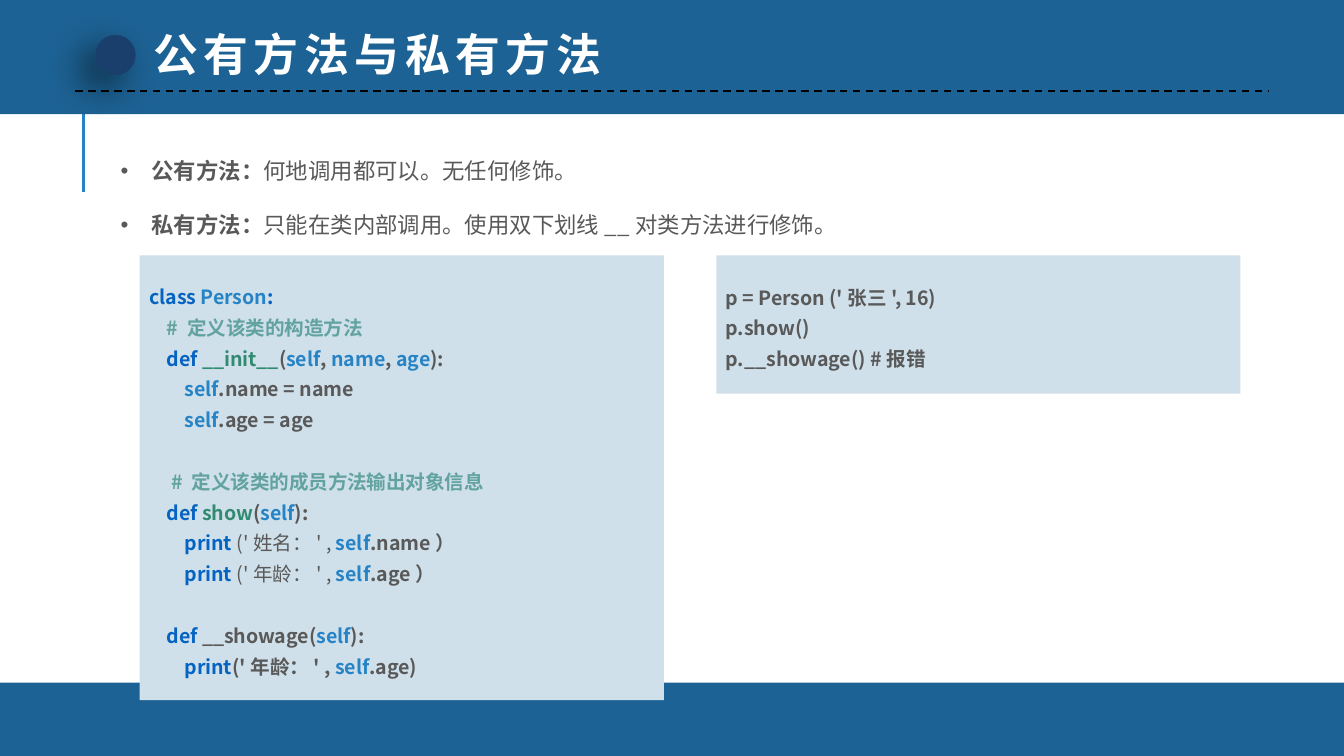
from lxml import etree
from pptx import Presentation
from pptx.dml.color import RGBColor
from pptx.enum.dml import MSO_LINE
from pptx.enum.shapes import MSO_CONNECTOR, MSO_SHAPE
from pptx.enum.text import MSO_ANCHOR, PP_ALIGN
from pptx.oxml.ns import qn
from pptx.util import Inches, Pt

# Widescreen, 16 to 9
WIDTH = 10
HEIGHT = WIDTH * 9 / 16
FONT = "Noto Sans CJK SC"
BAND, ACCENT, PANEL, GREY = "1D6294", "2683C6", "CFE0EA", "595959"
KEYWORD, COMMENT, METHOD = "0563C1", "62A39F", "328B71"

# Code panels share a top edge and a width
PANEL_TOP, PANEL_WIDTH = 1.9, 3.9
LEFT_COLUMN, RIGHT_COLUMN = 1.04, 5.33

TOKEN_COLORS = {
    **dict.fromkeys(["class", "def", "print", ":"], KEYWORD),
    **dict.fromkeys(["Person", "self", "name", "age"], ACCENT),
    **dict.fromkeys(["__init__", "show"], METHOD),
}

POINTS = [
    ("公有方法：", "何地调用都可以。无任何修饰。"),
    ("私有方法：", "只能在类内部调用。使用双下划线__对类方法进行修饰。"),
]

# A bar separates the coloured tokens of a line
CLASS_CODE = """class |Person|:
    |# 定义该类的构造方法
    |def |__init__|(|self|, |name|, |age|):
        |self|.name = name
        |self|.age = age

     |# 定义该类的成员方法输出对象信息
    |def |show|(|self|):
        |print| ('姓名：' , |self|.name）
        |print| ('年龄：' , |self|.age）

    |def| __showage(|self|):
        |print|('年龄：' , |self|.age)"""

CALL_CODE = """p = Person ('张三', 16)
p.show()
p.__showage() #报错"""


def rgb(value):
    return RGBColor.from_string(value)


def style_font(run, size, color, bold=True):
    run.font.size = Pt(size)
    run.font.bold = bold
    run.font.name = FONT
    run.font.color.rgb = rgb(color)
    etree.SubElement(run.font._element, qn("a:ea"), typeface=FONT)


def add_run(paragraph, text, size, color, bold):
    run = paragraph.add_run()
    run.text = text
    style_font(run, size, color, bold)


def add_block(slide, kind, left, top, width, height, color):
    block = slide.shapes.add_shape(
        kind, Inches(left), Inches(top), Inches(width), Inches(height))
    block.shadow.inherit = False
    block.fill.solid()
    block.fill.fore_color.rgb = rgb(color)
    block.line.fill.background()
    return block


def add_rule(slide, start, end, color, weight, dash=None):
    rule = slide.shapes.add_connector(
        MSO_CONNECTOR.STRAIGHT, *(Inches(v) for v in (*start, *end)))
    rule.line.color.rgb = rgb(color)
    rule.line.width = Pt(weight)
    if dash:
        rule.line.dash_style = dash
    etree.SubElement(rule._element.spPr, qn("a:effectLst"))


def add_soft_shadow(block):
    effects = block._element.spPr.find(qn("a:effectLst"))
    shadow = etree.SubElement(
        effects, qn("a:outerShdw"), blurRad=str(Pt(20)), dist=str(Pt(10)),
        dir=str(135 * 60000), algn="tr", rotWithShape="0")
    color = etree.SubElement(shadow, qn("a:srgbClr"), val="000000")
    etree.SubElement(color, qn("a:alpha"), val="60000")


def set_title(slide, text):
    title = slide.shapes.title
    title.left, title.top = Inches(1.04), Inches(0.15)
    title.width, title.height = Inches(3.75), Inches(0.5)
    frame = title.text_frame
    frame.text = text
    frame.word_wrap = False
    frame.vertical_anchor = MSO_ANCHOR.MIDDLE
    paragraph = frame.paragraphs[0]
    paragraph.alignment = PP_ALIGN.LEFT
    for run in paragraph.runs:
        style_font(run, 24, "FFFFFF")
        run.font._element.set("spc", "300")
    # Lift the title above the header band
    slide.shapes._spTree.append(title._element)


def add_points(slide, points):
    box = slide.shapes.add_textbox(
        Inches(0.8), Inches(0.92), Inches(8.33), Inches(0.85))
    frame = box.text_frame
    frame.word_wrap = True
    for index, (term, meaning) in enumerate(points):
        paragraph = frame.add_paragraph() if index else frame.paragraphs[0]
        paragraph.alignment = PP_ALIGN.JUSTIFY
        paragraph.line_spacing = 2.0
        properties = paragraph._p.get_or_add_pPr()
        properties.set("marL", str(Inches(0.23)))
        properties.set("indent", str(-Inches(0.23)))
        etree.SubElement(properties, qn("a:buFont"), typeface="Arial")
        etree.SubElement(properties, qn("a:buChar"), char="•")
        add_run(paragraph, term, 12, GREY, True)
        add_run(paragraph, meaning, 12, GREY, False)


def add_code(slide, left, height, code):
    panel = add_block(slide, MSO_SHAPE.RECTANGLE, left, PANEL_TOP,
                      PANEL_WIDTH, height, PANEL)
    frame = panel.text_frame
    frame.word_wrap = True
    frame.vertical_anchor = MSO_ANCHOR.MIDDLE
    frame.margin_left = frame.margin_right = Inches(0.07)
    frame.margin_top = frame.margin_bottom = Inches(0.04)
    for index, line in enumerate(code.split("\n")):
        paragraph = frame.add_paragraph() if index else frame.paragraphs[0]
        paragraph.alignment = PP_ALIGN.LEFT
        paragraph.line_spacing = Pt(16.5)
        for token in line.split("|") if line else []:
            color = TOKEN_COLORS.get(token.strip(), GREY)
            if token.startswith("#"):
                color = COMMENT
            add_run(paragraph, token, 10.5, color, not token.startswith(" ('"))


def main():
    deck = Presentation()
    deck.slide_width, deck.slide_height = Inches(WIDTH), Inches(HEIGHT)
    slide = deck.slides.add_slide(deck.slide_layouts[5])

    # Bands and rules
    add_rule(slide, (0.62, 1.43), (0.62, 0.68), ACCENT, 1.5)
    for top, height in ((5.08, HEIGHT - 5.08), (-0.03, 0.88)):
        add_block(slide, MSO_SHAPE.RECTANGLE, 0, top, WIDTH, height, BAND)
    add_rule(slide, (0.56, 0.68), (WIDTH - 0.56, 0.68), "000000", 1,
             MSO_LINE.DASH)

    # Heading
    dot = add_block(slide, MSO_SHAPE.OVAL, 0.71, 0.26, 0.3, 0.3, "1A3F6C")
    add_soft_shadow(dot)
    set_title(slide, "公有方法与私有方法")

    # Explanation and code
    add_points(slide, POINTS)
    add_code(slide, LEFT_COLUMN, 3.31, CLASS_CODE)
    add_code(slide, RIGHT_COLUMN, 1.03, CALL_CODE)

    deck.save("out.pptx")


if __name__ == "__main__":
    main()
